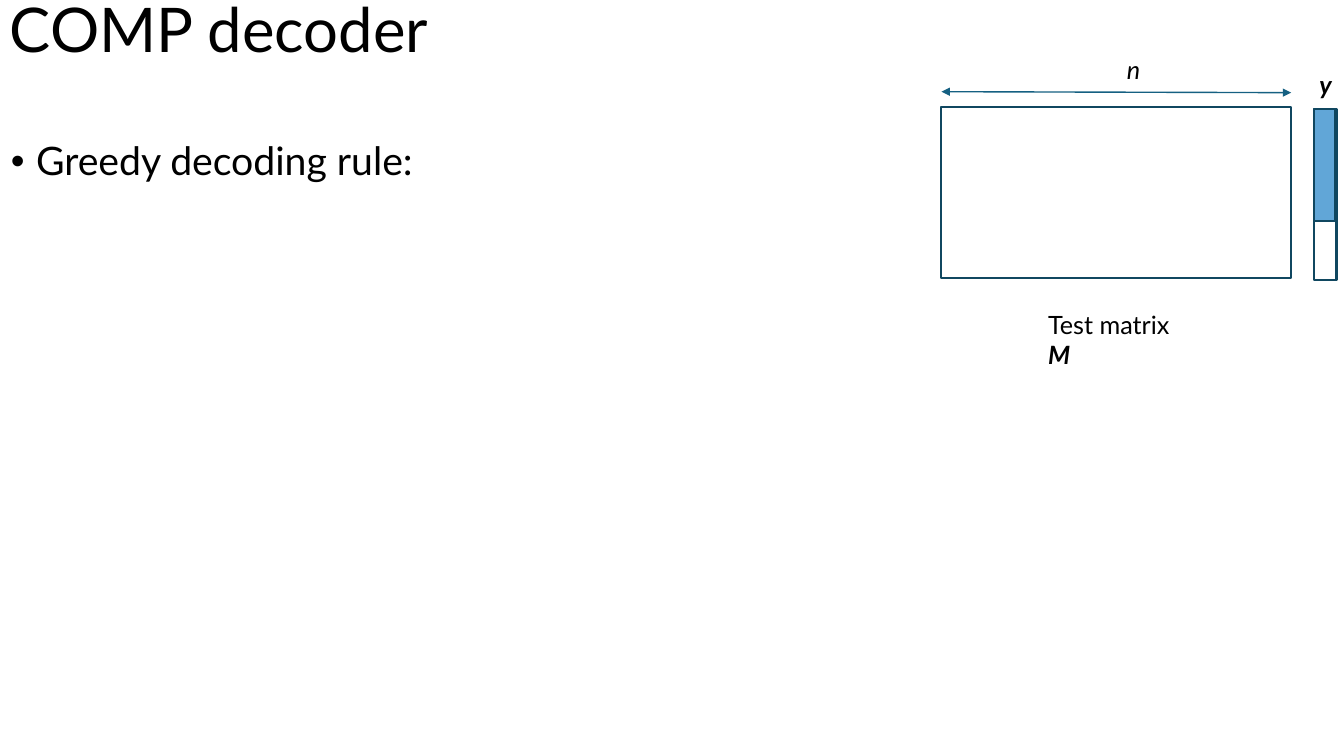
from dataclasses import dataclass
from typing import Optional

from lxml.etree import SubElement
from pptx import Presentation
from pptx.dml.color import RGBColor
from pptx.enum.shapes import MSO_CONNECTOR as Connector, MSO_SHAPE as Preset
from pptx.enum.text import MSO_ANCHOR as Anchor
from pptx.oxml.ns import qn
from pptx.util import Pt

COLORS = {"text": "000000", "outline": "104760", "arrow": "156082", "positive": "0070C0"}
FONT = "Lato"


@dataclass(frozen=True)
class Run:
    text: str
    bold: bool = False
    italic: bool = False


@dataclass(frozen=True)
class Block:
    left: float
    top: float
    width: float
    height: float
    fill: Optional[str] = None
    opacity: int = 100


@dataclass(frozen=True)
class Label:
    left: float
    top: float
    width: float
    height: float
    runs: tuple[Run, ...]
    wrap: bool = False


MATRIX = Block(672.5, 76.3, 249.8, 122.4)
RESULT_VECTOR = Block(938.9, 77.8, 15.8, 122.4)
POSITIVE_RESULTS = Block(938.9, 77.8, 15.1, 79.9, "positive", 62)
BLOCKS = (MATRIX, RESULT_VECTOR, POSITIVE_RESULTS)

LABELS = (
    Label(935.3, 46.1, 23, 28.8, (Run("y", bold=True, italic=True),)),
    Label(797.8, 35.3, 24.5, 28.8, (Run("n", italic=True),)),
    Label(741.6, 217.4, 115.2, 28.8,
          (Run("Test matrix "), Run("M", bold=True, italic=True)), wrap=True),
)


def color(name: str) -> RGBColor:
    return RGBColor.from_string(COLORS[name])


def add_text(slide, left: float, top: float, width: float, height: float,
             runs: tuple[Run, ...], *, size: float = 18, wrap: bool = True,
             anchor=Anchor.TOP, line_spacing: float = 1.0, bullet: str = "",
             indent: float = 18) -> None:
    shape = slide.shapes.add_textbox(Pt(left), Pt(top), Pt(width), Pt(height))
    frame = shape.text_frame
    frame.word_wrap = wrap
    frame.vertical_anchor = anchor
    paragraph = frame.paragraphs[0]
    paragraph.line_spacing = line_spacing
    if bullet:
        properties = paragraph._p.get_or_add_pPr()
        properties.set("marL", str(Pt(indent)))
        properties.set("indent", str(-Pt(indent)))
        SubElement(properties, qn("a:buFont"), typeface="Arial")
        SubElement(properties, qn("a:buChar"), char=bullet)
    for item in runs:
        run = paragraph.add_run()
        run.text = item.text
        run.font.name = FONT
        run.font.size = Pt(size)
        run.font.bold = item.bold
        run.font.italic = item.italic
        run.font.color.rgb = color("text")


def add_block(slide, block: Block) -> None:
    shape = slide.shapes.add_shape(Preset.RECTANGLE, Pt(block.left), Pt(block.top),
                                   Pt(block.width), Pt(block.height))
    shape.shadow.inherit = False
    shape.line.color.rgb = color("outline")
    shape.line.width = Pt(1.5)
    if block.fill is None:
        shape.fill.background()
        return
    shape.fill.solid()
    shape.fill.fore_color.rgb = color(block.fill)
    fill_color = shape._element.spPr.find(qn("a:solidFill")).find(qn("a:srgbClr"))
    SubElement(fill_color, qn("a:alpha"), val=str(block.opacity * 1000))


def add_width_arrow(slide, block: Block, start_y: float, end_y: float) -> None:
    connector = slide.shapes.add_connector(
        Connector.STRAIGHT, Pt(block.left), Pt(start_y),
        Pt(block.left + block.width), Pt(end_y))
    connector.line.color.rgb = color("arrow")
    connector.line.width = Pt(1)
    line = connector.line._get_or_add_ln()
    for end in ("a:headEnd", "a:tailEnd"):
        SubElement(line, qn(end), type="triangle")
    SubElement(connector._element.spPr, qn("a:effectLst"))


def main() -> None:
    presentation = Presentation()
    presentation.slide_width = Pt(960)
    presentation.slide_height = Pt(540)
    slide = presentation.slides.add_slide(presentation.slide_layouts[6])

    add_text(slide, 0, -28.8, 1023.8, 104.4, (Run("COMP decoder"),),
             size=44, anchor=Anchor.MIDDLE, line_spacing=0.9)
    add_text(slide, 0.7, 97.9, 463.7, 42.5, (Run("Greedy decoding rule:"),),
             size=28, line_spacing=0.9, bullet="•")
    for block in BLOCKS:
        add_block(slide, block)
    add_width_arrow(slide, MATRIX, 65.5, 66.2)
    for label in LABELS:
        add_text(slide, label.left, label.top, label.width, label.height,
                 label.runs, wrap=label.wrap)

    presentation.save("out.pptx")


if __name__ == "__main__":
    main()
